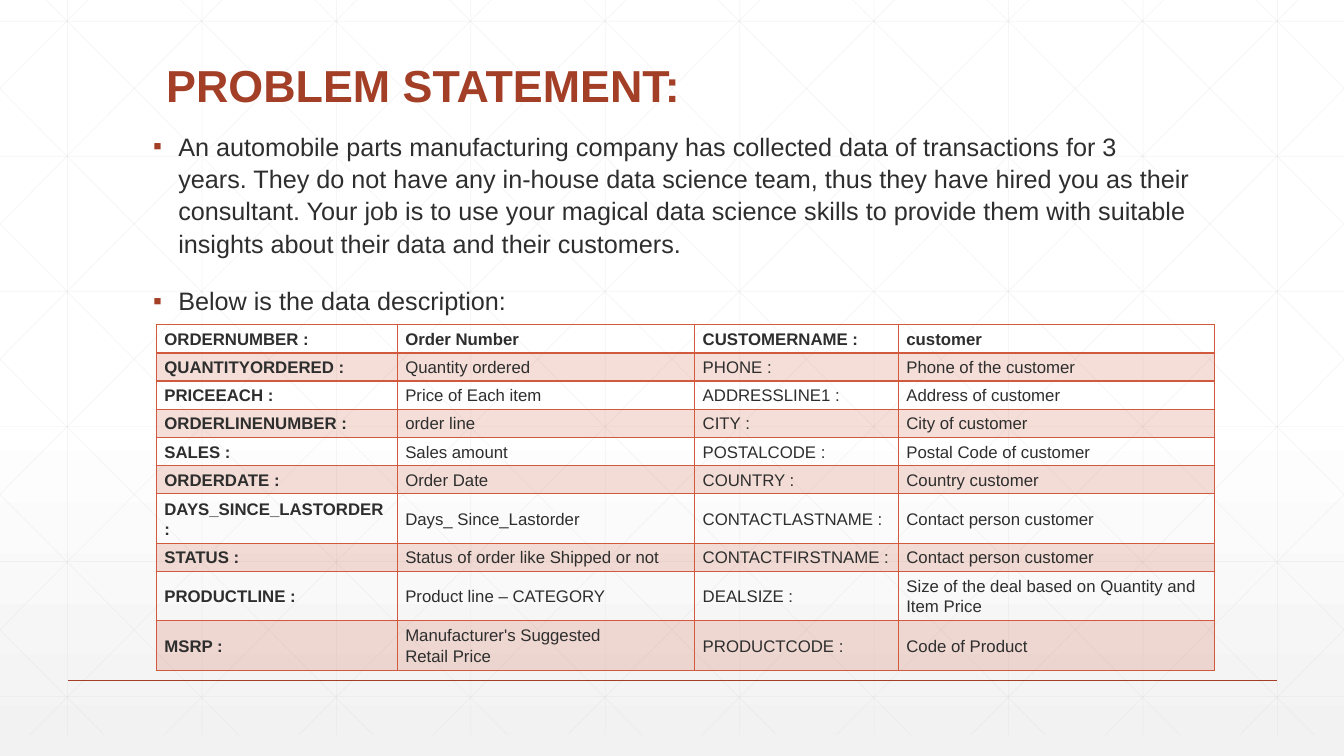
from dataclasses import dataclass

from lxml import etree
from pptx import Presentation
from pptx import util as u
from pptx.dml import color
from pptx.enum import shapes, text
from pptx.oxml import ns, parse_xml


@dataclass(frozen=True)
class Theme:
    font: str = "Arial"
    accent: str = "A43F27"
    ink: str = "2D2E2D"
    border: str = "D15A3E"
    mesh: str = "D9D9D9"
    paper: str = "FFFFFF"
    shade: str = "F2F2F2"
    title_size: int = 32
    body_size: int = 18
    table_size: int = 12


@dataclass(frozen=True)
class Line:
    x1: float
    y1: float
    x2: float
    y2: float


@dataclass(frozen=True)
class Field:
    left_name: str
    left_meaning: str
    right_name: str
    right_meaning: str

    def texts(self) -> tuple:
        return (self.left_name, self.left_meaning, self.right_name, self.right_meaning)


THEME = Theme()
WIDTH, HEIGHT = 13.33, 7.5
MESH_TOP, MESH_BOTTOM, MESH_STEP = -0.21, 7.29, 4 / 3
DIAGONAL_RUN = 7.45
HARD_SPACE = chr(160)

STATEMENTS = [
    "An automobile parts manufacturing company has collected data of transactions for 3 years. "
    "They do not have any in-house data science team, thus they have hired you as their "
    "consultant. Your job is to use your magical data science skills to provide them with "
    "suitable insights about their data and their customers.",
    "Below is the data description:",
]

FIELDS = [
    Field("ORDERNUMBER :", "Order Number", "CUSTOMERNAME :", "customer"),
    Field("QUANTITYORDERED :", "Quantity ordered", "PHONE :", "Phone of the customer"),
    Field("PRICEEACH :", "Price of Each item", "ADDRESSLINE1 :", "Address of customer"),
    Field("ORDERLINENUMBER :", "order line", "CITY :", "City of customer"),
    Field("SALES :", "Sales amount", "POSTALCODE :", "Postal Code of customer"),
    Field("ORDERDATE :", "Order Date", "COUNTRY :", "Country customer"),
    Field("DAYS_SINCE_LASTORDER :", "Days_ Since_Lastorder",
          "CONTACTLASTNAME :", "Contact person customer"),
    Field("STATUS :", "Status of order like Shipped or not",
          "CONTACTFIRSTNAME :", "Contact person customer"),
    Field("PRODUCTLINE :", "Product line – CATEGORY",
          "DEALSIZE :", "Size of the deal based on Quantity and Item Price"),
    Field("MSRP :", f"Manufacturer's Suggested Retail{HARD_SPACE}Price",
          "PRODUCTCODE :", "Code of Product"),
]
COLUMN_WIDTHS = [2.39, 2.95, 2.02, 3.14]
TALL_ROWS = {6, 8, 9}
ROW_HEIGHTS = [0.49 if row in TALL_ROWS else 0.28 for row in range(len(FIELDS))]


def add_alpha(parent, percent: int) -> None:
    """Make the colour inside parent partly transparent."""
    for rgb in parent.iter(ns.qn("a:srgbClr")):
        etree.SubElement(rgb, ns.qn("a:alpha")).set("val", str(percent * 1000))


def paint_background(page) -> None:
    page.background.fill.gradient()
    gradient = page.background._cSld.find(".//" + ns.qn("a:gradFill"))
    stops = gradient.find(ns.qn("a:gsLst"))
    for stop in list(stops):
        stops.remove(stop)
    for place, rgb in ((0, THEME.paper), (53, THEME.paper), (100, THEME.shade)):
        stop = etree.SubElement(stops, ns.qn("a:gs"), pos=str(place * 1000))
        etree.SubElement(stop, ns.qn("a:srgbClr"), val=rgb)
    gradient.find(ns.qn("a:lin")).set("ang", str(90 * 60000))


def draw_line(page, line: Line, rgb: str, weight: float, alpha: int = 100) -> None:
    ends = [u.Inches(v) for v in (line.x1, line.y1, line.x2, line.y2)]
    rule = page.shapes.add_connector(shapes.MSO_CONNECTOR.STRAIGHT, *ends)
    rule.line.color.rgb = color.RGBColor.from_string(rgb)
    rule.line.width = u.Pt(weight)
    properties = rule._element.spPr
    if alpha < 100:
        add_alpha(properties, alpha)
    etree.SubElement(properties, ns.qn("a:effectLst"))


def diagonal(start: float) -> Line:
    """Falling diagonal from the mesh top, clipped to the slide's sides."""
    slope = (MESH_BOTTOM - MESH_TOP) / DIAGONAL_RUN
    x1, x2 = max(start, 0), min(start + DIAGONAL_RUN, WIDTH)
    return Line(x1, MESH_TOP + (x1 - start) * slope, x2, MESH_TOP + (x2 - start) * slope)


def mesh_lines() -> list[Line]:
    columns = [0.67 + i * MESH_STEP for i in range(10)]
    rows = [0.21 + i * 1.34 for i in range(6)]
    falling = [diagonal(0.25 + i * MESH_STEP) for i in range(-5, 10)]
    rising = [Line(WIDTH - d.x1, d.y1, WIDTH - d.x2, d.y2) for d in falling]
    return ([Line(x, MESH_TOP, x, MESH_BOTTOM) for x in columns]
            + [Line(0, y, WIDTH, y) for y in rows] + falling + rising)


def add_span(para, words: str, size: int, rgb: str, bold: bool = False) -> None:
    span = para.add_run()
    span.text = words
    span.font.name = THEME.font
    span.font.size = u.Pt(size)
    span.font.bold = bold
    span.font.color.rgb = color.RGBColor.from_string(rgb)


def space_para(para) -> None:
    para.line_spacing = 1.07
    para.space_before = para.space_after = u.Pt(9)


def add_bullet(para) -> None:
    properties = para._p.get_or_add_pPr()
    properties.set("marL", str(u.Inches(0.25)))
    properties.set("indent", str(-u.Inches(0.25)))
    tint = etree.SubElement(properties, ns.qn("a:buClr"))
    etree.SubElement(tint, ns.qn("a:srgbClr"), val=THEME.accent)
    etree.SubElement(properties, ns.qn("a:buFont"), typeface=THEME.font)
    etree.SubElement(properties, ns.qn("a:buChar"), char="▪")


def add_box(page, left: float, top: float, width: float, height: float):
    box = page.shapes.add_textbox(*(u.Inches(v) for v in (left, top, width, height)))
    box.text_frame.word_wrap = True
    return box.text_frame


def style_cell(cell, row: int) -> None:
    cell.vertical_anchor = text.MSO_ANCHOR.MIDDLE
    cell.margin_left = cell.margin_right = u.Inches(0.08)
    cell.margin_top = cell.margin_bottom = u.Inches(0.03)
    properties = cell._tc.get_or_add_tcPr()
    if row % 2:
        cell.fill.solid()
        cell.fill.fore_color.rgb = color.RGBColor.from_string(THEME.border)
        add_alpha(properties, 20)
    else:
        cell.fill.background()
    # The rule under the heading row is twice as heavy
    weights = {"L": 1, "R": 1, "T": 2 if row == 1 else 1, "B": 2 if row == 0 else 1}
    for place, (side, weight) in enumerate(weights.items()):
        properties.insert(place, parse_xml(
            f'<a:ln{side} {ns.nsdecls("a")} w="{u.Pt(weight)}"><a:solidFill>'
            f'<a:srgbClr val="{THEME.border}"/></a:solidFill></a:ln{side}>'))


def add_field_table(page) -> None:
    size = (sum(COLUMN_WIDTHS), sum(ROW_HEIGHTS))
    frame = page.shapes.add_table(len(FIELDS), len(COLUMN_WIDTHS),
                                  *(u.Inches(v) for v in (1.55, 3.22, *size)))
    table = frame.table
    table.first_row = table.horz_banding = False
    for column, width in zip(table.columns, COLUMN_WIDTHS):
        column.width = u.Inches(width)
    for row, field in enumerate(FIELDS):
        table.rows[row].height = u.Inches(ROW_HEIGHTS[row])
        for column, words in enumerate(field.texts()):
            cell = table.cell(row, column)
            style_cell(cell, row)
            para = cell.text_frame.paragraphs[0]
            space_para(para)
            add_span(para, words, THEME.table_size, THEME.ink, row == 0 or column == 0)


def main() -> None:
    deck = Presentation()
    deck.slide_width, deck.slide_height = u.Inches(WIDTH), u.Inches(HEIGHT)
    page = deck.slides.add_slide(deck.slide_layouts[6])

    # Background mesh and footer rule
    paint_background(page)
    for line in mesh_lines():
        draw_line(page, line, THEME.mesh, 0.5, alpha=25)
    draw_line(page, Line(0.67, 6.75, 12.67, 6.75), THEME.accent, 1)

    # Title
    title = add_box(page, 1.55, 0.37, 10.5, 0.79)
    title.vertical_anchor = text.MSO_ANCHOR.BOTTOM
    title.paragraphs[0].line_spacing = 0.9
    add_span(title.paragraphs[0], "PROBLEM STATEMENT:", THEME.title_size, THEME.accent, True)

    # Problem statement
    body = add_box(page, 1.42, 1.23, 10.5, 1.99)
    for index, words in enumerate(STATEMENTS):
        para = body.add_paragraph() if index else body.paragraphs[0]
        space_para(para)
        add_bullet(para)
        add_span(para, words, THEME.body_size, THEME.ink)

    # Data description
    add_field_table(page)
    deck.save("out.pptx")


if __name__ == "__main__":
    main()
